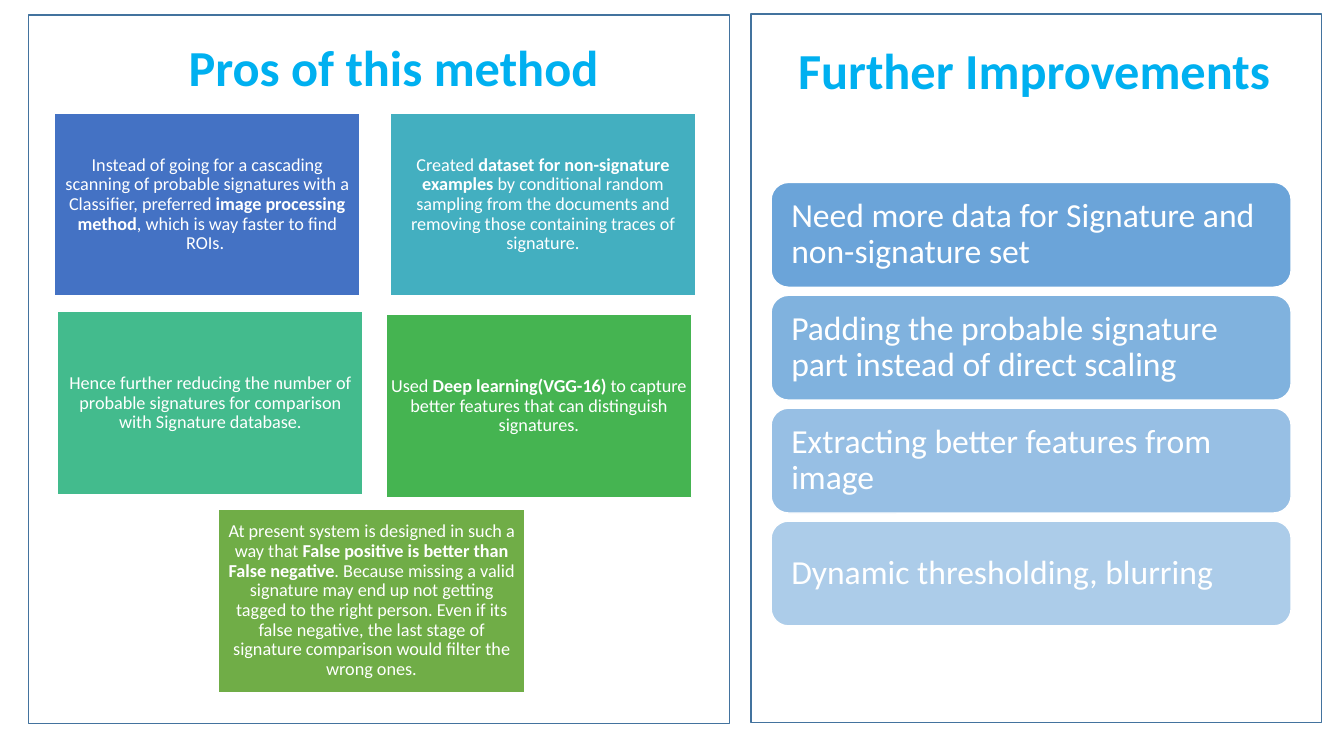
import dataclasses

import lxml.etree
import pptx
import pptx.dml.color
import pptx.enum.shapes
import pptx.enum.text
import pptx.oxml.ns
import pptx.util

Pt = pptx.util.Pt
SHAPES = pptx.enum.shapes.MSO_SHAPE
ALIGN = pptx.enum.text.PP_ALIGN


@dataclasses.dataclass(frozen=True)
class Theme:
    """Colours, font and type sizes of the slide."""
    font: str = "Calibri"
    heading: str = "00B0F0"
    frame: str = "43739E"
    white: str = "FFFFFF"
    bar: str = "5B9BD5"
    heading_size: int = 36
    card_size: int = 13
    bar_size: int = 24


@dataclasses.dataclass(frozen=True)
class Box:
    """A rectangle in points."""
    left: float
    top: float
    width: float
    height: float

    def inside(self, left, top, width, height):
        """Return a box placed relative to this one."""
        return Box(self.left + left, self.top + top, width, height)


THEME = Theme()
PROS_PANEL = Box(20.2, 10.8, 501.1, 506.2)
IMPROVEMENTS_PANEL = Box(536.4, 10.1, 407.5, 506.2)
CARD_WIDTH, CARD_HEIGHT = 218.2, 131
BAR_HEIGHT, BAR_PITCH = 74.9, 80.64

PROS = [
    (18.7, 69.8, "4472C4", [
        ("Instead of going for a cascading scanning of probable signatures with a Classifier, preferred ", False),
        ("image processing method", True),
        (", which is way faster to find ROIs. ", False)]),
    (258.5, 69.8, "43AFC0", [
        ("Created ", False),
        ("dataset for non-signature examples ", True),
        ("by conditional random sampling from the documents and removing those "
         "containing traces of signature.", False)]),
    (20.9, 211.7, "43BB8D", [
        ("Hence further reducing the number of probable signatures for comparison "
         "with Signature database.", False)]),
    (255.6, 213.8, "45B451", [
        ("Used ", False),
        ("Deep learning(VGG-16) ", True),
        ("to capture better features that can distinguish signatures.", False)]),
    (136.1, 352.8, "70AD47", [
        ("At present system is designed in such a way that ", False),
        ("False positive is better than False negative", True),
        (". Because missing a valid signature may end up not getting tagged to the right person. "
         "Even if its false negative, the last stage of signature comparison would filter "
         "the wrong ones.", False)]),
]

IMPROVEMENTS = [
    ("Need more data for Signature and non-signature set", 90),
    ("Padding the probable signature part instead of direct scaling", 77),
    ("Extracting better features from image", 63),
    ("Dynamic thresholding, blurring", 50),
]


def set_attributes(target, values):
    """Set every attribute in a dict of format values."""
    for name, value in values.items():
        setattr(target, name, value)


def place(shape, box):
    """Move and size a shape to a box."""
    set_attributes(shape, {name: Pt(value) for name, value in dataclasses.asdict(box).items()})


def write(shape, runs, size, color, alignment, inset_x, inset_y):
    """Write one formatted paragraph of (text, bold) runs into a shape."""
    set_attributes(shape.text_frame, {
        "word_wrap": True,
        "auto_size": pptx.enum.text.MSO_AUTO_SIZE.NONE,
        "vertical_anchor": pptx.enum.text.MSO_ANCHOR.MIDDLE,
        "margin_left": Pt(inset_x), "margin_right": Pt(inset_x),
        "margin_top": Pt(inset_y), "margin_bottom": Pt(inset_y)})
    paragraph = shape.text_frame.paragraphs[0]
    set_attributes(paragraph, {"alignment": alignment, "line_spacing": 0.9})
    for text, bold in runs:
        run = paragraph.add_run()
        run.text = text
        set_attributes(run.font, {"name": THEME.font, "size": Pt(size), "bold": bold})
        run.font.color.rgb = pptx.dml.color.RGBColor.from_string(color)


def add_block(slide, kind, box, line, fill=None, opacity=100):
    """Add a preset shape with a thin outline and an optional fill."""
    shape = slide.shapes.add_shape(kind, *map(Pt, dataclasses.astuple(box)))
    shape.shadow.inherit = False
    shape.line.width = Pt(1)
    shape.line.color.rgb = pptx.dml.color.RGBColor.from_string(line)
    if fill is None:
        shape.fill.background()
        return shape
    shape.fill.solid()
    shape.fill.fore_color.rgb = pptx.dml.color.RGBColor.from_string(fill)
    if opacity < 100:
        color = shape.fill._xPr.find(".//" + pptx.oxml.ns.qn("a:srgbClr"))
        lxml.etree.SubElement(color, pptx.oxml.ns.qn("a:alpha"), val=str(opacity * 1000))
    return shape


def add_heading(shape, box, text):
    """Place a shape and write a panel heading into it."""
    place(shape, box)
    write(shape, [(text, True)], THEME.heading_size, THEME.heading, ALIGN.LEFT, 7.2, 3.6)


def add_pros(slide, panel):
    """Build the panel of coloured cards under the slide title."""
    add_block(slide, SHAPES.RECTANGLE, panel, THEME.frame)
    add_heading(slide.shapes.title, panel.inside(107.3, -13, 400.3, 104.4), "Pros of this method")
    for left, top, fill, runs in PROS:
        box = panel.inside(left, top, CARD_WIDTH, CARD_HEIGHT)
        card = add_block(slide, SHAPES.RECTANGLE, box, THEME.white, fill)
        write(card, runs, THEME.card_size, THEME.white, ALIGN.CENTER, 3.6, 3.6)


def add_improvements(slide, panel):
    """Build the panel of fading rounded bars."""
    add_block(slide, SHAPES.RECTANGLE, panel, THEME.frame)
    heading = slide.shapes.add_textbox(0, 0, 0, 0)
    add_heading(heading, panel.inside(26.6, 6.5, 400.3, 70.6), "Further Improvements")
    for index, (text, opacity) in enumerate(IMPROVEMENTS):
        box = panel.inside(14.4, 120.2 + index * BAR_PITCH, 371.5, BAR_HEIGHT)
        bar = add_block(slide, SHAPES.ROUNDED_RECTANGLE, box, THEME.white, THEME.bar, opacity)
        write(bar, [(text, False)], THEME.bar_size, THEME.white, ALIGN.LEFT, 10.8, 10.8)


def main():
    """Create the presentation and save it."""
    presentation = pptx.Presentation()
    set_attributes(presentation, {"slide_width": Pt(960), "slide_height": Pt(540)})
    slide = presentation.slides.add_slide(presentation.slide_layouts.get_by_name("Title Only"))
    add_pros(slide, PROS_PANEL)
    add_improvements(slide, IMPROVEMENTS_PANEL)
    presentation.save("out.pptx")


if __name__ == "__main__":
    main()
